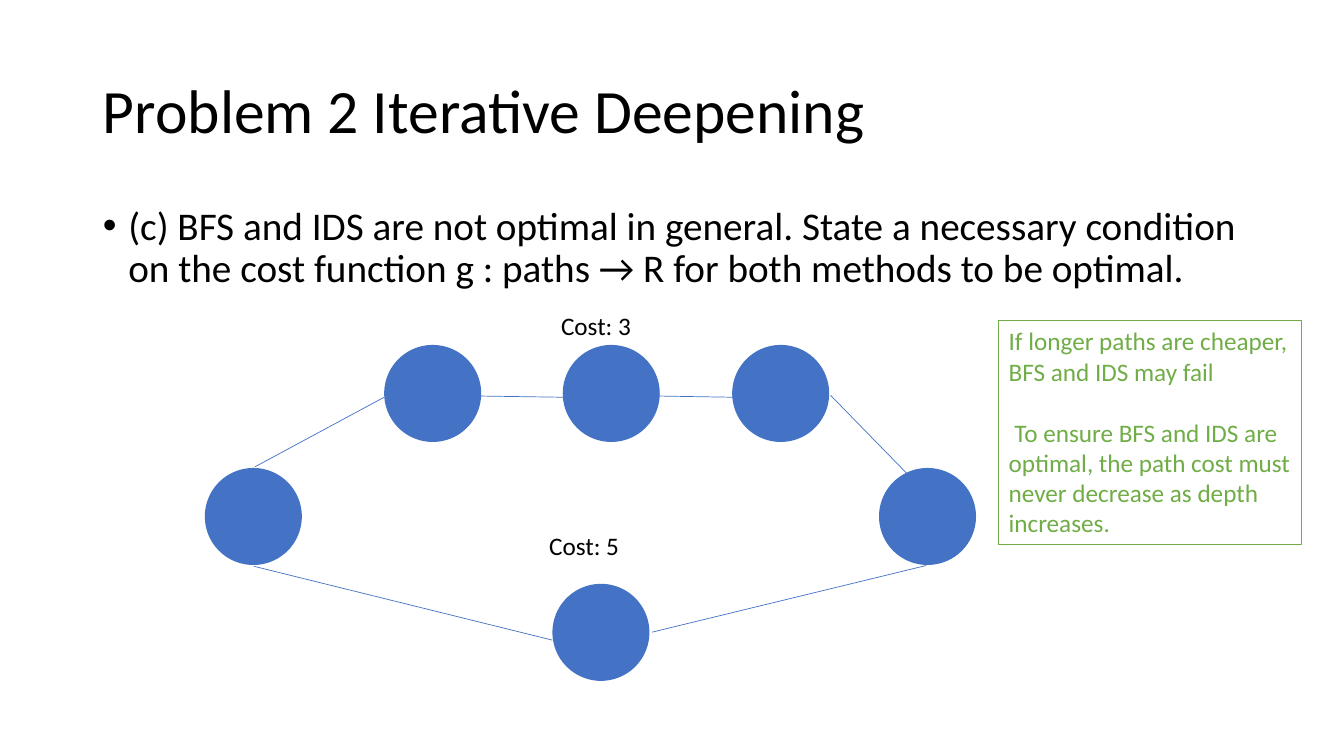
from pptx import Presentation
from pptx import util as u
from pptx.dml.color import RGBColor
from pptx.enum import shapes, text
from pptx.oxml.ns import qn
from lxml import etree

Cm, Pt = u.Cm, u.Pt
HUES = {"ink": "000000", "node": "4472C4", "note": "70AD47"}
SIZE = 2.41  # node diameter

# Node positions by row: top, lefts
ROWS = [(8.71, (9.7, 14.2, 18.47)), (11.81, (5.18, 22.17)), (14.73, (13.94,))]

# Edge ends: x1, y1, x2, y2
EDGES = [
    (6.43, 11.76, 9.68, 10.01),
    (12.12, 9.98, 14.2, 10.01),
    (16.61, 9.98, 18.49, 10.01),
    (20.93, 9.96, 22.96, 12.04),
    (16.43, 15.93, 23.34, 14.25),
    (6.4, 14.27, 13.92, 16.13),
]

COSTS = [("Cost: 5", 13.59, 13.23), ("Cost: 3", 13.89, 7.7)]
NOTES = [
    "If longer paths are cheaper, BFS and IDS may fail",
    " To ensure BFS and IDS are optimal, the path cost must never decrease as depth increases.",
]


def hue(name):
    return RGBColor.from_string(HUES[name])


def put(obj, vals):
    for key, val in vals.items():
        setattr(obj, key, val)


def place(shape, x, y, w, h):
    put(shape, {"left": Cm(x), "top": Cm(y), "width": Cm(w), "height": Cm(h)})


def write(shape, lines, size, color="ink", frame=None, para=None):
    """Fill a shape with one paragraph per line."""
    body = shape.text_frame
    body.text = "\n".join(lines)
    put(body, {"word_wrap": True, "auto_size": text.MSO_AUTO_SIZE.NONE,
               "vertical_anchor": text.MSO_ANCHOR.TOP, **(frame or {})})
    for item in body.paragraphs:
        put(item, {"alignment": text.PP_ALIGN.LEFT, **(para or {})})
        for run in item.runs:
            put(run.font, {"name": "Calibri", "size": Pt(size)})
            run.font.color.rgb = hue(color)


def bullet(para, gap):
    props = para._p.get_or_add_pPr()
    props.set("marL", str(Cm(gap)))
    props.set("indent", str(-Cm(gap)))
    etree.SubElement(props, qn("a:buFont")).set("typeface", "Arial")
    etree.SubElement(props, qn("a:buChar")).set("char", "•")


def node(slide, x, y):
    dot = slide.shapes.add_shape(shapes.MSO_SHAPE.OVAL, Cm(x), Cm(y), Cm(SIZE), Cm(SIZE))
    dot.shadow.inherit = False
    dot.fill.solid()
    dot.fill.fore_color.rgb = hue("node")
    dot.line.color.rgb = hue("node")
    dot.line.width = Pt(1)


def edge(slide, *ends):
    line = slide.shapes.add_connector(shapes.MSO_CONNECTOR.STRAIGHT, *map(Cm, ends))
    line.line.color.rgb = hue("node")
    line.line.width = Pt(0.5)
    etree.SubElement(line._element.spPr, qn("a:effectLst"))


def label(slide, words, x, y):
    box = slide.shapes.add_textbox(Cm(x), Cm(y), Cm(3.66), Cm(1.02))
    write(box, [words], 18)


def note(slide):
    box = slide.shapes.add_textbox(Cm(25.17), Cm(8.08), Cm(7.62), Cm(5.64))
    box.line.color.rgb = hue("note")
    box.line.width = Pt(0.75)
    write(box, NOTES, 18, "note")
    box.text_frame.paragraphs[1].space_before = Pt(22)


def main():
    deck = Presentation()
    put(deck, {"slide_width": Cm(33.87), "slide_height": Cm(19.05)})
    slide = deck.slides.add_slide(deck.slide_layouts[1])

    # Title and question
    title, body = slide.placeholders
    place(title, 2.34, 1.02, 29.21, 3.68)
    write(title, ["Problem 2 Iterative Deepening"], 44,
          frame={"vertical_anchor": text.MSO_ANCHOR.MIDDLE}, para={"line_spacing": 0.9})
    place(body, 2.34, 5.08, 29.21, 12.09)
    write(body, ["(c) BFS and IDS are not optimal in general. State a necessary condition "
                 "on the cost function g : paths → R for both methods to be optimal."], 28,
          para={"line_spacing": 0.9, "space_before": Pt(10)})
    bullet(body.text_frame.paragraphs[0], 0.64)

    # Graph
    for y, lefts in ROWS:
        for x in lefts:
            node(slide, x, y)
    for ends in EDGES:
        edge(slide, *ends)

    # Costs and answer
    for cost in COSTS:
        label(slide, *cost)
    note(slide)

    deck.save("out.pptx")


if __name__ == "__main__":
    main()
